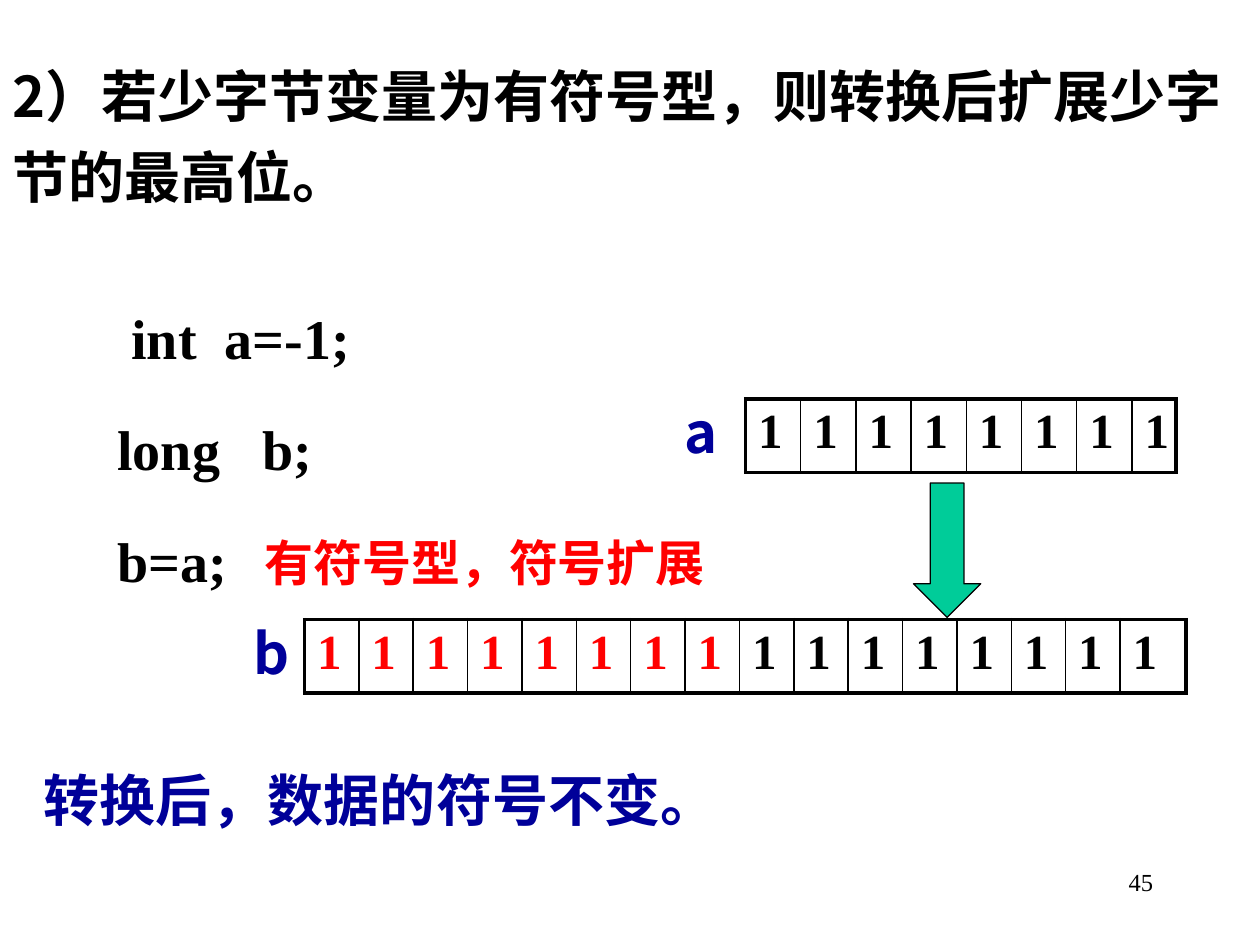
from pptx import Presentation, util as u
from pptx.dml.color import RGBColor
from pptx.enum import shapes, text
from pptx.oxml import parse_xml
from pptx.oxml.ns import nsdecls

BLACK = RGBColor(0, 0, 0)
RED = RGBColor(0xFF, 0, 0)
NAVY = RGBColor(0, 0, 0x99)
GREEN = RGBColor(0, 0xCC, 0x99)
SERIF = "Times New Roman"
SANS = "Noto Sans CJK SC"
LEFT, MID, RIGHT = text.PP_ALIGN.LEFT, text.PP_ALIGN.CENTER, text.PP_ALIGN.RIGHT

# The slide is a grid of 120 columns by 90 rows
WIDE, HIGH = u.Inches(10), u.Inches(7.5)
UNIT = WIDE // 120


def place(box):
    return [round(n * UNIT) for n in box]


def add_run(para, words, size, color, face=SERIF, bold=True):
    run = para.add_run()
    run.text = words
    font = run.font
    font.size, font.bold, font.name = u.Pt(size), bold, face
    font.color.rgb = color
    run._r.get_or_add_rPr().append(
        parse_xml(f'<a:ea {nsdecls("a")} typeface="{SANS}"/>'))


def add_text(slide, box, lines, size, color, face=SERIF, align=LEFT,
             bold=True, lead=1.2):
    frame = slide.shapes.add_textbox(*place(box)).text_frame
    frame.word_wrap = True
    for i, line in enumerate(lines):
        para = frame.add_paragraph() if i else frame.paragraphs[0]
        para.alignment = align
        para.line_spacing = lead
        if i:
            para.space_before = u.Pt(size * 0.55)
        add_run(para, line, size, color, face, bold)


def add_edge(cell, side, width):
    cell._tc.get_or_add_tcPr().append(parse_xml(
        f'<a:{side} {nsdecls("a")} w="{u.Pt(width)}"><a:solidFill>'
        f'<a:srgbClr val="{BLACK}"/></a:solidFill></a:{side}>'))


def add_bits(slide, box, name, tag, bits, step, reds=0):
    """A row of bit cells with its variable name on the left."""
    left, top, width, height = box
    add_text(slide, tag, [name], 32, NAVY, SANS, MID)
    count = len(bits)
    grid = slide.shapes.add_table(1, count, *place(box)).table
    grid.first_row = grid.horz_banding = False
    grid.rows[0].height = round(height * UNIT)
    last = count - 1
    for i, bit in enumerate(bits):
        span = step if i < last else width - step * last
        grid.columns[i].width = round(span * UNIT)
        cell = grid.cell(0, i)
        add_edge(cell, "lnL", 1 if i else 2.25)
        add_edge(cell, "lnR", 1 if i < last else 2.25)
        add_edge(cell, "lnT", 2.25)
        add_edge(cell, "lnB", 2.25)
        cell.fill.background()
        add_run(cell.text_frame.paragraphs[0], bit, 28,
                RED if i < reds else BLACK)


def add_arrow(slide, box):
    arrow = slide.shapes.add_shape(shapes.MSO_SHAPE.DOWN_ARROW, *place(box))
    arrow.shadow.inherit = False
    arrow.fill.solid()
    arrow.fill.fore_color.rgb = GREEN
    arrow.line.color.rgb = BLACK
    arrow.line.width = u.Pt(0.75)


def main():
    deck = Presentation()
    deck.slide_width, deck.slide_height = WIDE, HIGH
    slide = deck.slides.add_slide(deck.slide_layouts[6])

    # Page number
    add_text(slide, (86, 82, 25, 6), ["45"], 14, BLACK,
             align=RIGHT, bold=False, lead=1)

    # Bits before and after the conversion
    add_bits(slide, (29, 59, 84, 7), "b", (23, 57, 5, 8.9), "1" * 16, 5.18, 8)
    add_bits(slide, (71, 38, 41, 7), "a", (64, 36, 5, 8.9), "1" * 8, 5.26)
    add_arrow(slide, (87, 46, 6.4, 12.8))

    # Code and its remark
    add_text(slide, (24, 49, 50, 6.8), ["有符号型，符号扩展"], 28, RED)
    add_text(slide, (10, 27, 43, 26.8),
             [" int  a=-1;", "long   b;", "b=a;"], 32, BLACK)

    # Rule and conclusion
    add_text(slide, (0, 4, 120, 16.6),
             ["2）若少字节变量为有符号型，则转换后扩展少字节的最高位。"],
             32, BLACK, SANS)
    add_text(slide, (3, 71, 114, 7.6), ["转换后，数据的符号不变。"], 32, NAVY)

    deck.save("out.pptx")


if __name__ == "__main__":
    main()
